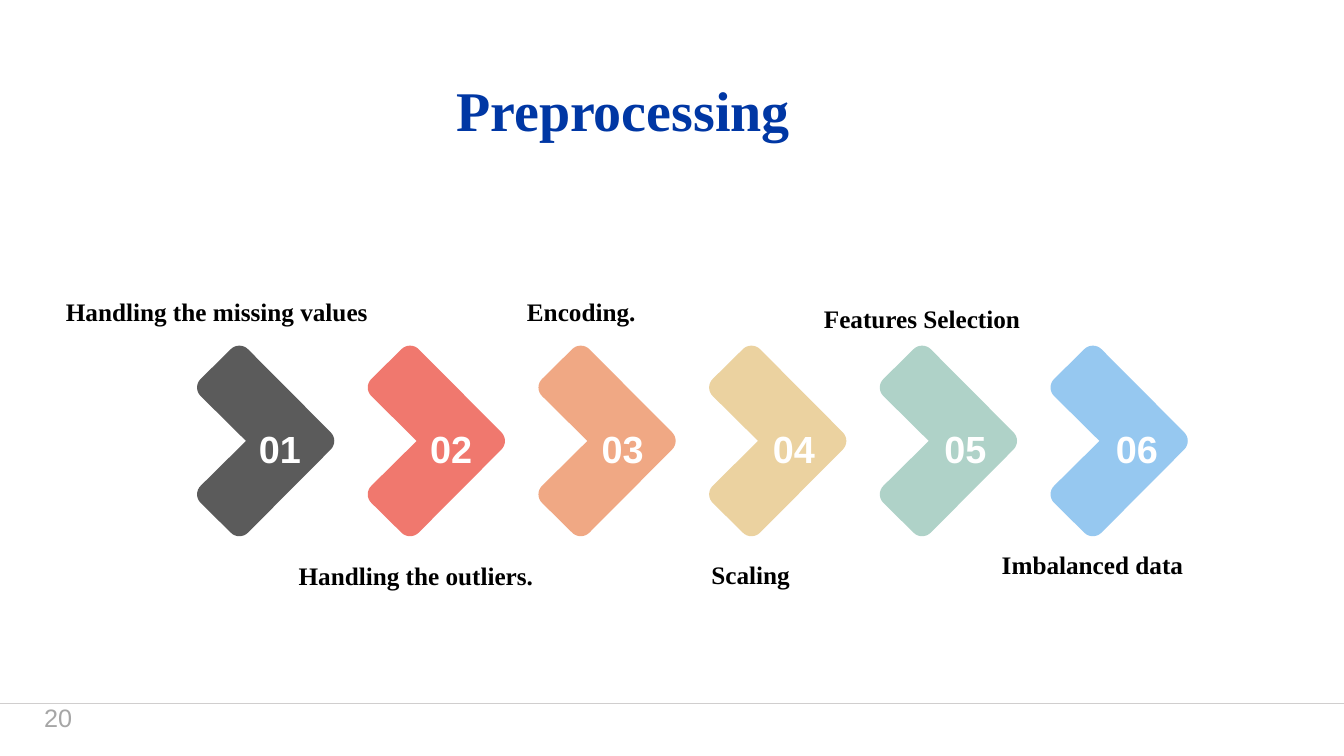
from math import cos, hypot, pi, sin

from lxml.etree import SubElement
from pptx import Presentation
from pptx.dml.color import RGBColor as RGB
from pptx.enum.shapes import MSO_CONNECTOR as Conn
from pptx.enum.text import MSO_ANCHOR as Anchor, PP_ALIGN as Align
from pptx.oxml.ns import qn
from pptx.util import Inches, Pt

BLUE = RGB(0x00, 0x37, 0xA4)
BLACK = RGB(0x00, 0x00, 0x00)
WHITE = RGB(0xFF, 0xFF, 0xFF)
RULE = RGB(0xD0, 0xCE, 0xCE)
GRAY = RGB(0xA6, 0xA6, 0xA6)
DARK = RGB(0x5B, 0x5B, 0x5B)
CORAL = RGB(0xF0, 0x78, 0x6E)
PEACH = RGB(0xF0, 0xA8, 0x84)
SAND = RGB(0xEB, 0xD2, 0xA0)
MINT = RGB(0xAF, 0xD2, 0xC8)
SKY = RGB(0x96, 0xC8, 0xF0)

SERIF, SANS = "Times New Roman", "Arial"
CELL = Inches(0.1)
COLS, ROWS = 133.3, 75
PITCH, STEP = 16.93, 17
OUTLINE = [(4.7, 0), (14.6, 9.95), (4.7, 19.9), (0, 15.25), (5.35, 9.95), (0, 4.65)]
NOTCH = 4
RADIUS = 1.2

STAGES = [
    ("Handling the missing values", DARK, 5.6, 29.4, 31.8),
    ("Handling the outliers.", CORAL, 29.2, 55.6, 24.1),
    ("Encoding.", PEACH, 46.6, 29.4, 22.1),
    ("Scaling", SAND, 63.4, 55.5, 22.1),
    ("Features Selection", MINT, 80.4, 30.1, 22.1),
    ("Imbalanced data", SKY, 97.3, 54.5, 22.1),
]


def bend(prev, spot, nxt):
    """Return the points of a rounded right-angled corner."""
    (px, py), (x, y), (nx, ny) = prev, spot, nxt
    back, fore = hypot(px - x, py - y), hypot(nx - x, ny - y)
    ux, uy = (px - x) / back, (py - y) / back
    vx, vy = (nx - x) / fore, (ny - y) / fore
    turns = [(1 - cos(k * pi / 16), 1 - sin(k * pi / 16)) for k in range(9)]
    return [(x + RADIUS * (b * ux + a * vx), y + RADIUS * (b * uy + a * vy))
            for a, b in ((a, b) for a, b in turns)]


class Deck:
    """Hold the style and the current slide, measured in grid cells."""

    def __init__(self):
        self.file = Presentation()
        self.file.slide_width = int(COLS * CELL)
        self.file.slide_height = ROWS * CELL
        self.slide = self.file.slides.add_slide(self.file.slide_layouts[6])

    def text(self, words, box, size, color, face=SERIF, bold=True,
             align=Align.CENTER, inset=True):
        """Add a text box and return its frame."""
        frame = self.slide.shapes.add_textbox(*(int(n * CELL) for n in box)).text_frame
        frame.word_wrap = True
        if not inset:
            frame.margin_left = frame.margin_right = 0
            frame.margin_top = frame.margin_bottom = 0
        para = frame.paragraphs[0]
        para.text, para.alignment = words, align
        font = para.font
        font.name, font.size, font.bold = face, Pt(size), bold
        font.color.rgb = color
        return frame

    def arrow(self, left, top, color):
        """Add a rounded chevron."""
        dots = []
        for k, spot in enumerate(OUTLINE):
            after = OUTLINE[(k + 1) % len(OUTLINE)]
            dots += [spot] if k == NOTCH else bend(OUTLINE[k - 1], spot, after)
        dots = [((left + x) * CELL, (top + y) * CELL) for x, y in dots]
        path = self.slide.shapes.build_freeform(*dots[0], scale=1.0)
        path.add_line_segments(dots[1:], close=True)
        shape = path.convert_to_shape()
        shape.shadow.inherit = False
        shape.fill.solid()
        shape.fill.fore_color.rgb = color
        shape.line.fill.background()

    def rule(self, row, color):
        """Add a line across the slide."""
        y = int(row * CELL)
        line = self.slide.shapes.add_connector(
            Conn.STRAIGHT, self.file.slide_width, y, 0, y)
        line.line.color.rgb = color
        line.line.width = Pt(1)
        SubElement(line._element.spPr, qn("a:effectLst"))


def main():
    """Build the slide and save it."""
    deck = Deck()
    title = deck.text("Preprocessing", (-1.5, 7.3, 126.6, 7.9), 40, BLUE)
    title.vertical_anchor = Anchor.MIDDLE
    title.paragraphs[0].line_spacing = 0.9
    title.paragraphs[0].space_before = Pt(10)
    for k, (words, color, left, top, width) in enumerate(STAGES):
        deck.arrow(19.05 + k * PITCH, 33.8, color)
        deck.text(words, (left, top, width, 3), 18, BLACK, inset=False)
        deck.text(f"{k + 1:02}", (24.5 + k * STEP, 42.2, 6.5, 4.5), 27, WHITE,
                  SANS, inset=False)
    deck.rule(69.8, RULE)
    deck.text("20", (3.4, 69.2, 66.7, 4), 18, GRAY, SANS, False, Align.LEFT)
    deck.file.save("out.pptx")


if __name__ == "__main__":
    main()
